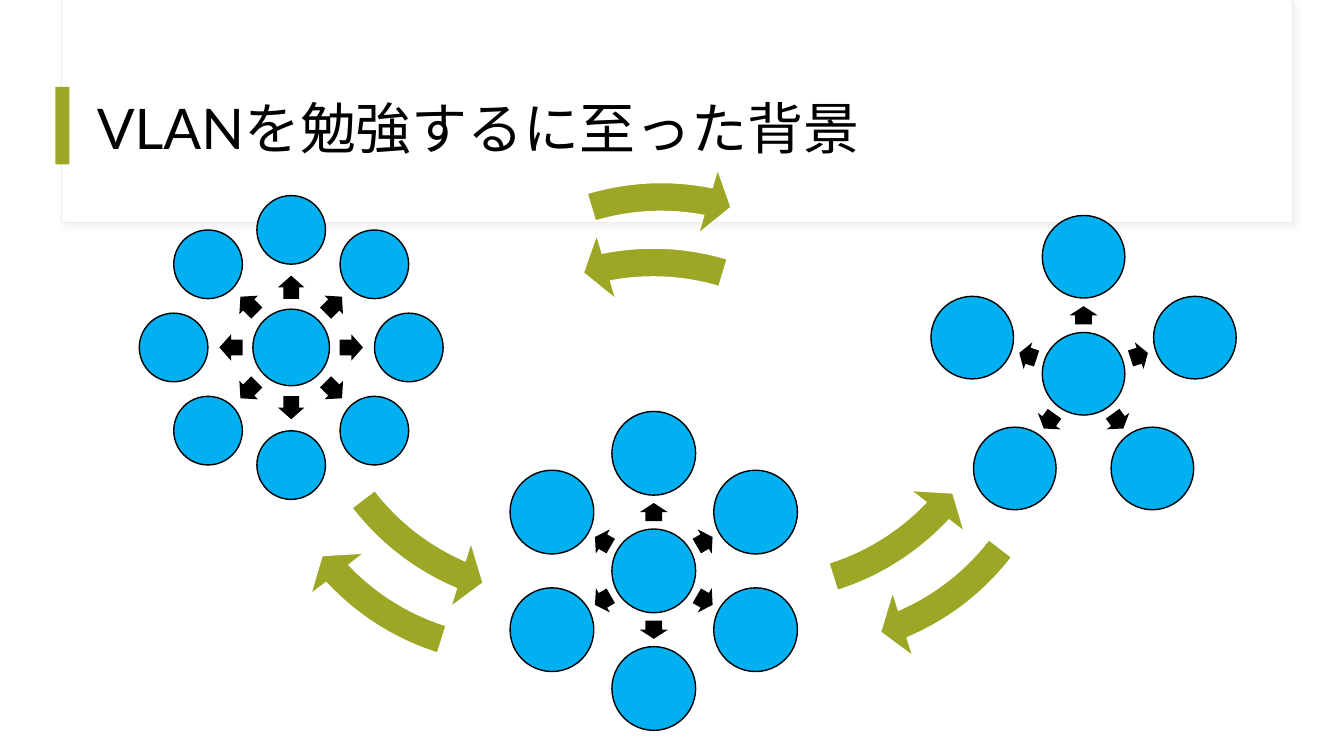
import math
import pptx
import pptx.util
import pptx.dml.color
import pptx.enum.shapes
import pptx.enum.text
import pptx.oxml
import pptx.oxml.ns

Pt = pptx.util.Pt
KIND = pptx.enum.shapes.MSO_SHAPE
GREEN = "9CA726"
BLUE = "00B0F0"
BLACK = "000000"
WHITE = "FFFFFF"
SPANS = {
    "low": (40.143, 22.538),
    "mid": (82.102, 64.497),
    "top": (168.653, 151.987),
}
BENDS = [
    (378.7, 87.8, "low", False),
    (169.9, 92.9, "mid", False),
    (274.3, 116.6, "top", False),
    (268.6, 163.4, "top", True),
    (199.4, 52.6, "low", True),
    (344.9, 48.2, "mid", True),
]
STARS = [
    (208, 248.2, 8, 54.7, 49, 84, 43, (16.6, 18.7)),
    (467, 407.8, 6, 59.8, 59.8, 84, 42, (13, 20)),
    (774, 267, 5, 59, 59, 83.6, 41.8, (13, 20)),
]


def color(form, code):
    form.rgb = pptx.dml.color.RGBColor.from_string(code)


def draw(shapes, kind, box, fill, line=None, width=1):
    shape = shapes.add_shape(kind, *[Pt(n) for n in box])
    shape.shadow.inherit = False
    shape.fill.solid()
    color(shape.fill.fore_color, fill)
    if line:
        color(shape.line.color, line)
        shape.line.width = Pt(width)
    else:
        shape.line.fill.background()
    return shape


def center(shapes, kind, x, y, w, h, fill, line=None):
    return draw(shapes, kind, (x - w / 2, y - h / 2, w, h), fill, line)


def adjust(shape, values):
    for i, value in enumerate(values):
        shape.adjustments[i] = value


def shade(shape):
    space = pptx.oxml.ns.nsdecls("a")
    glow = pptx.oxml.parse_xml(
        f'<a:outerShdw {space} blurRad="{Pt(4)}" dist="{Pt(3)}" dir="2700000" '
        'algn="tl" rotWithShape="0"><a:srgbClr val="D9D9D9">'
        '<a:alpha val="30000"/></a:srgbClr></a:outerShdw>')
    props = shape.element.spPr
    props.find(pptx.oxml.ns.qn("a:effectLst")).append(glow)


def frame(shapes):
    shade(draw(shapes, KIND.RECTANGLE, (44, 0, 879, 159), WHITE, "F0ECE5", 0.75))
    draw(shapes, KIND.RECTANGLE, (44.6, 0, 878, 158.4), WHITE)
    draw(shapes, KIND.RECTANGLE, (39.6, 62, 10, 55.4), GREEN)


def head(slide, text):
    title = slide.shapes.title
    slide.shapes.element.append(title.element)
    title.left, title.top = Pt(62), Pt(56)
    title.width, title.height = Pt(800.6), Pt(76.3)
    body = title.text_frame
    body.word_wrap = True
    body.auto_size = pptx.enum.text.MSO_AUTO_SIZE.NONE
    body.vertical_anchor = pptx.enum.text.MSO_ANCHOR.MIDDLE
    para = body.paragraphs[0]
    para.alignment = pptx.enum.text.PP_ALIGN.LEFT
    para.line_spacing = 0.9
    run = para.add_run()
    run.text = text
    run.font.name = "Lato"
    run.font.size = Pt(40)
    color(run.font.color, BLACK)


def bend(shapes, left, top, span, flip):
    box = (left, top, 396, 396)
    shape = draw(shapes, KIND.CIRCULAR_ARROW, box, GREEN, WHITE)
    adjust(shape, (0.052, 3.36, *SPANS[span], 0.061))
    if flip:
        shape.element.spPr.xfrm.set("flipH", "1")


def star(shapes, x, y, count, hub, leaf, reach, gap, size):
    group = shapes.add_group_shape().shapes
    center(group, KIND.OVAL, x, y, hub, hub, BLUE, BLACK)
    for i in range(count):
        turn = (270 + i * 360 / count) % 360
        dx, dy = math.cos(math.radians(turn)), math.sin(math.radians(turn))
        arrow = center(group, KIND.RIGHT_ARROW, x + gap * dx, y + gap * dy,
                       *size, BLACK)
        adjust(arrow, (0.6, 0.5))
        arrow.rotation = turn
        center(group, KIND.OVAL, x + reach * dx, y + reach * dy,
               leaf, leaf, BLUE, BLACK)


def main():
    deck = pptx.Presentation()
    deck.slide_width, deck.slide_height = Pt(960), Pt(540)
    slide = deck.slides.add_slide(deck.slide_layouts[5])
    frame(slide.shapes)
    head(slide, "VLANを勉強するに至った背景")
    for item in BENDS:
        bend(slide.shapes, *item)
    for item in STARS:
        star(slide.shapes, *item)
    deck.save("out.pptx")


main()
